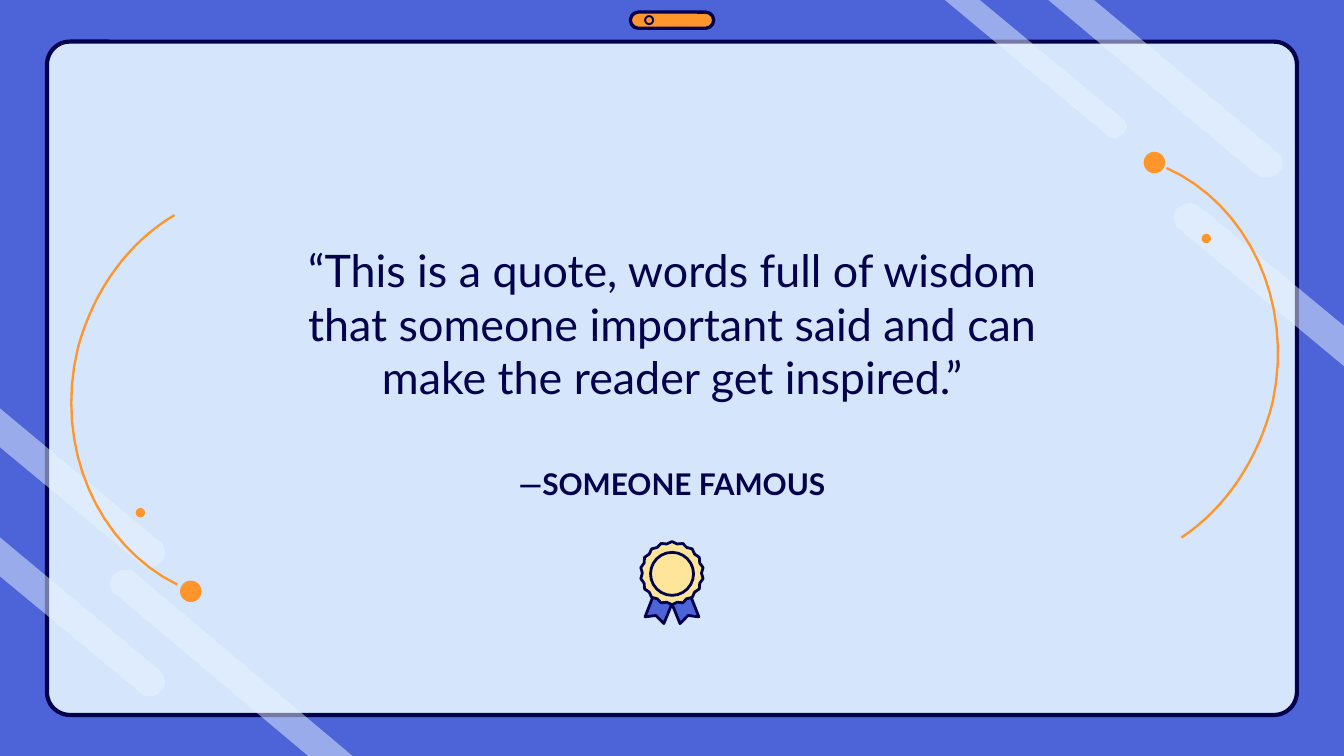
"""Build a quote slide with a framed panel, light streaks, arcs and a medal."""
from math import cos, radians, sin

from lxml import etree
from pptx import Presentation
from pptx.dml.color import RGBColor
from pptx.enum.shapes import MSO_SHAPE
from pptx.enum.text import MSO_ANCHOR, PP_ALIGN
from pptx.oxml.ns import qn
from pptx.util import Inches, Pt

ROUND_RECT, OVAL = MSO_SHAPE.ROUNDED_RECTANGLE, MSO_SHAPE.OVAL
MIDDLE, CENTER = MSO_ANCHOR.MIDDLE, PP_ALIGN.CENTER
BLUE = RGBColor(0x4C, 0x64, 0xD8)
PALE = RGBColor(0xD5, 0xE6, 0xFC)
STREAK = RGBColor(0xE9, 0xF3, 0xFF)
NAVY = RGBColor(0x00, 0x00, 0x4D)
ORANGE = RGBColor(0xFF, 0x95, 0x2B)
YELLOW = RGBColor(0xFF, 0xE5, 0x99)
STEPS = 16

prs = Presentation()
prs.slide_width = Inches(10)
prs.slide_height = Inches(10 * 9 / 16)
s = prs.slides.add_slide(prs.slide_layouts[6])
s.background.fill.solid()
s.background.fill.fore_color.rgb = BLUE


def style(sp, fill=None, line=None, width=1.5):
    sp.shadow.inherit = False
    if fill is None:
        sp.fill.background()
    else:
        sp.fill.solid()
        sp.fill.fore_color.rgb = fill
    if line is None:
        sp.line.fill.background()
    else:
        sp.line.color.rgb = line
        sp.line.width = Pt(width)
    return sp


def outline(segments, close=True):
    points = [segments[0]]
    for seg in segments[1:]:
        if len(seg) == 2:
            points.append(seg)
            continue
        x0, y0 = points[-1]
        x1, y1, x2, y2, x3, y3 = seg
        for i in range(1, STEPS + 1):
            t = i / STEPS
            a, b, c, d = (1 - t) ** 3, 3 * t * (1 - t) ** 2, 3 * t * t * (1 - t), t ** 3
            points.append((a * x0 + b * x1 + c * x2 + d * x3,
                           a * y0 + b * y1 + c * y2 + d * y3))
    emu = [(Inches(x), Inches(y)) for x, y in points]
    fb = s.shapes.build_freeform(*emu[0])
    fb.add_line_segments(emu[1:], close=close)
    return fb.convert_to_shape()


panel = s.shapes.add_shape(ROUND_RECT, Inches(0.35), Inches(0.31), Inches(9.3), Inches(5.01))
panel.adjustments[0] = 0.034
style(panel, PALE, NAVY, 2.25)

streaks = [
    [(7.8, 0), (9.35, 1.3), (9.38, 1.32, 9.41, 1.32, 9.43, 1.32),
     (9.46, 1.32, 9.5, 1.31, 9.51, 1.28), (9.56, 1.25, 9.55, 1.17, 9.51, 1.14), (8.14, 0)],
    [(7.03, 0), (8.23, 1), (8.25, 1.03, 8.27, 1.03, 8.29, 1.03),
     (8.31, 1.03, 8.34, 1.01, 8.35, 1), (8.4, 0.97, 8.39, 0.91, 8.35, 0.88), (7.29, 0)],
    [(0.94, 4.24), (0.9, 4.24, 0.87, 4.25, 0.85, 4.28), (0.81, 4.31, 0.81, 4.39, 0.86, 4.42),
     (2.3, 5.63), (2.63, 5.63), (1, 4.26), (0.99, 4.24, 0.97, 4.24, 0.94, 4.24)],
    [(8.86, 1.51), (8.82, 1.51, 8.79, 1.53, 8.76, 1.55), (8.72, 1.59, 8.72, 1.67, 8.78, 1.71),
     (10.03, 2.75), (10.03, 2.45), (8.93, 1.54), (8.91, 1.53, 8.89, 1.51, 8.86, 1.51)],
]
for y in (3.99, 3.03):
    streaks.append([
        (1.11, y + 1.19), (1.15, y + 1.19, 1.17, y + 1.18, 1.2, y + 1.15),
        (1.24, y + 1.12, 1.24, y + 1.04, 1.19, y + 1), (-0.01, y), (-0.01, y + 0.29),
        (1.04, y + 1.16), (1.05, y + 1.18, 1.08, y + 1.19, 1.11, y + 1.19)])
for streak in streaks:
    sp = style(outline(streak), STREAK)
    color = sp.element.spPr.find(qn("a:solidFill"))[0]
    etree.SubElement(color, qn("a:alpha"), val="50000")

pill = s.shapes.add_shape(ROUND_RECT, Inches(4.69), Inches(0.09), Inches(0.62), Inches(0.12))
pill.adjustments[0] = 0.5
style(pill, ORANGE, NAVY, 1.75)
lens = s.shapes.add_shape(OVAL, Inches(4.8), Inches(0.12), Inches(0.06), Inches(0.06))
style(lens, None, NAVY, 1)

texts = [
    (2.09, 1.69, 5.82, 1.43, 24, False,
     "“This is a quote, words full of wisdom that someone important said "
     "and can make the reader get inspired.”"),
    (3.64, 3.43, 2.72, 0.34, 16, True, "—SOMEONE FAMOUS"),
]
for x, y, w, h, size, bold, text in texts:
    tf = s.shapes.add_textbox(Inches(x), Inches(y), Inches(w), Inches(h)).text_frame
    tf.word_wrap = True
    tf.vertical_anchor = MIDDLE
    tf.margin_left = tf.margin_right = tf.margin_top = tf.margin_bottom = Inches(0.1)
    p = tf.paragraphs[0]
    p.text = text
    p.alignment = CENTER
    p.font.name, p.font.size, p.font.bold = "Lato", Pt(size), bold
    p.font.color.rgb = NAVY

ribbon = [(0.11, 4.36), (0.2, 4.59), (0.12, 4.58), (0.06, 4.64), (-0.03, 4.42)]
for side in (1, -1):
    style(outline([(5 + side * dx, y) for dx, y in ribbon]), BLUE, NAVY)

scallops = []
for i in range(36):
    radius = 0.22 if i % 2 else 0.235
    angle = radians(10 * i)
    scallops.append((5 + radius * sin(angle), 4.265 - radius * cos(angle)))
style(outline(scallops), YELLOW, NAVY)
disc = s.shapes.add_shape(OVAL, Inches(4.84), Inches(4.11), Inches(0.32), Inches(0.32))
style(disc, None, NAVY)

arcs = [
    [(8.68, 1.25), (9.28, 1.52, 9.63, 2.24, 9.47, 2.99), (9.36, 3.43, 9.11, 3.79, 8.79, 4)],
    [(1.32, 4.35), (0.73, 4.06, 0.4, 3.33, 0.58, 2.59), (0.7, 2.15, 0.96, 1.8, 1.3, 1.6)],
]
for arc in arcs:
    style(outline(arc, close=False), None, ORANGE, 1.25)

for x, y, size in [(8.51, 1.13, 0.16), (8.94, 1.74, 0.07), (1.34, 4.32, 0.16), (1.01, 3.78, 0.07)]:
    dot = s.shapes.add_shape(OVAL, Inches(x), Inches(y), Inches(size), Inches(size))
    style(dot, ORANGE)

prs.save("out.pptx")
